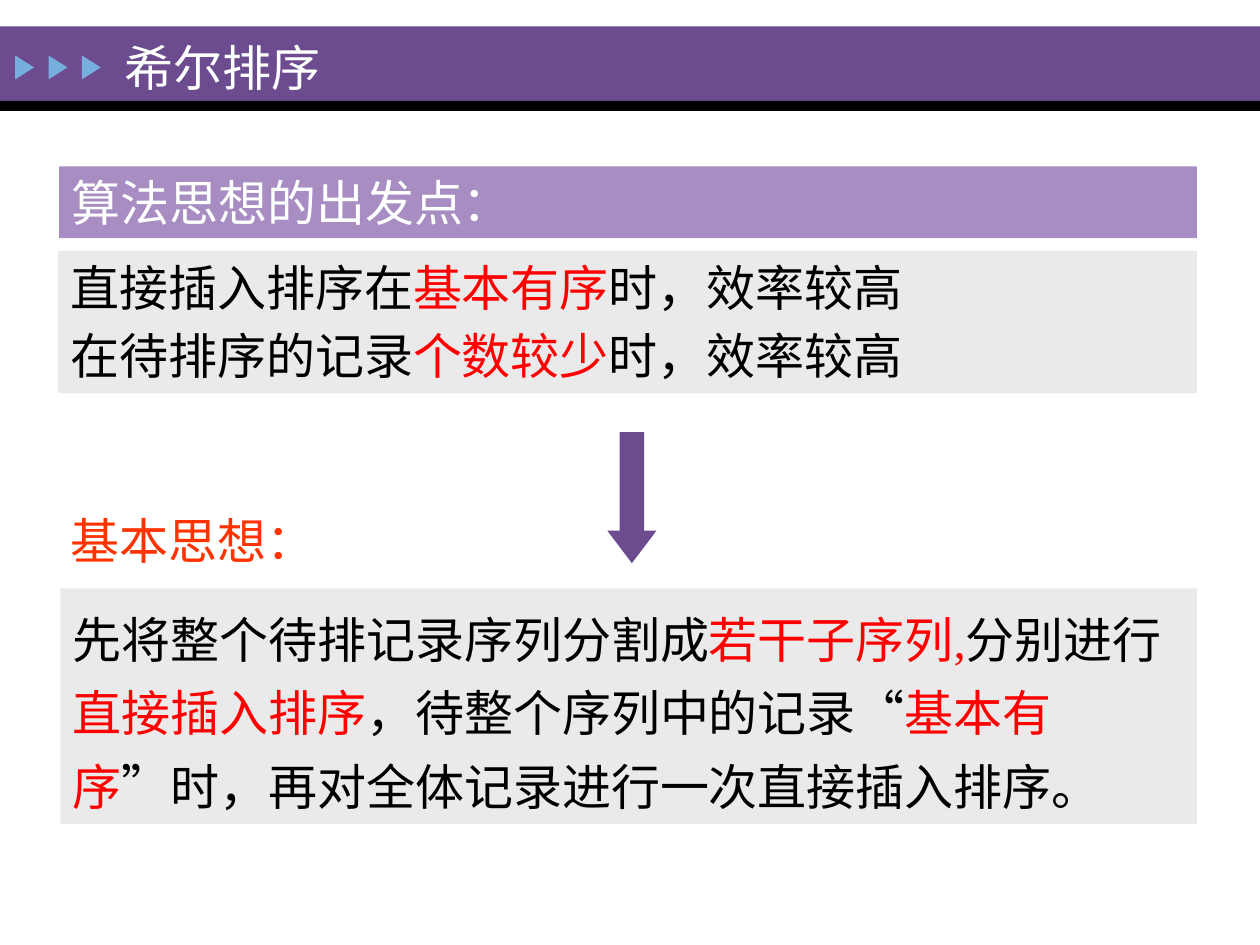
from dataclasses import dataclass

from pptx import Presentation
from pptx import util as u
from pptx.dml.color import RGBColor
from pptx.enum import shapes, text
from pptx.oxml import parse_xml
from pptx.oxml.ns import nsdecls
from pptx.shapes.autoshape import Shape
from pptx.slide import Slide

COLORS = {
    "paper": "FEFFFF",
    "purple": "6C4C8F",
    "lilac": "A78DC2",
    "black": "000000",
    "sky": "76AEDD",
    "gray": "EAEAEA",
    "red": "FF0000",
    "orange": "FF3300",
}
FONT = "Times New Roman"


@dataclass
class Area:
    left: float
    top: float
    width: float
    height: float

    def lengths(self) -> list[u.Length]:
        return [u.Inches(n) for n in (self.left, self.top, self.width, self.height)]


@dataclass
class Span:
    words: str
    color: str = "black"


def rgb(name: str) -> RGBColor:
    return RGBColor.from_string(COLORS[name])


def place(box: Shape, area: Area) -> None:
    box.left, box.top, box.width, box.height = area.lengths()


def paint(box: Shape, color: str) -> None:
    box.fill.solid()
    box.fill.fore_color.rgb = rgb(color)


def add_solid(page: Slide, kind: shapes.MSO_SHAPE, area: Area, color: str) -> Shape:
    box = page.shapes.add_shape(kind, *area.lengths())
    box.shadow.inherit = False
    box.line.fill.background()
    paint(box, color)
    return box


def write(box: Shape, lines: list[list[Span]], anchor=text.MSO_ANCHOR.TOP,
          wrap: bool = True, spacing: float = 1.0) -> None:
    frame = box.text_frame
    frame.word_wrap = wrap
    frame.auto_size = text.MSO_AUTO_SIZE.NONE
    frame.vertical_anchor = anchor
    for index, spans in enumerate(lines):
        para = frame.add_paragraph() if index else frame.paragraphs[0]
        para.alignment = text.PP_ALIGN.LEFT
        para.line_spacing = spacing
        para.space_before = u.Pt(5.6 if index else 0)
        if box.is_placeholder:
            properties = para._p.get_or_add_pPr()
            properties.set("marL", "0")
            properties.set("indent", "0")
            properties.append(parse_xml(f"<a:buNone {nsdecls('a')}/>"))
        para.font.name = FONT
        para.font.size = u.Pt(28)
        for span in spans:
            run = para.add_run()
            run.text = span.words
            run.font.color.rgb = rgb(span.color)


def add_header(page: Slide) -> None:
    add_solid(page, shapes.MSO_SHAPE.RECTANGLE, Area(0, 0.21, 10, 0.59), "purple")
    add_solid(page, shapes.MSO_SHAPE.RECTANGLE, Area(0, 0.8, 10, 0.08), "black")
    for index in range(3):
        area = Area(0.1 + 0.265 * index, 0.46, 0.19, 0.15)
        marker = add_solid(page, shapes.MSO_SHAPE.ISOSCELES_TRIANGLE, area, "sky")
        marker.rotation = 90
    title = page.shapes.title
    title.element.getparent().append(title.element)
    place(title, Area(0.89, 0.25, 3.38, 0.56))
    write(title, [[Span("希尔排序", "paper")]], text.MSO_ANCHOR.MIDDLE)


def add_starting_point(page: Slide) -> None:
    heading = add_solid(page, shapes.MSO_SHAPE.RECTANGLE,
                        Area(0.47, 1.32, 9.03, 0.57), "lilac")
    write(heading, [[Span("算法思想的出发点：", "paper")]])
    body = page.placeholders[1]
    place(body, Area(0.46, 1.99, 9.04, 1.13))
    paint(body, "gray")
    write(body, [
        [Span("直接插入排序在"), Span("基本有序", "red"), Span("时，效率较高")],
        [Span("在待排序的记录"), Span("个数较少", "red"), Span("时，效率较高")],
    ])


def add_basic_idea(page: Slide) -> None:
    label = page.shapes.add_textbox(*Area(0.46, 4, 2.62, 0.57).lengths())
    write(label, [[Span("基本思想：", "orange")]])
    idea = add_solid(page, shapes.MSO_SHAPE.RECTANGLE,
                     Area(0.48, 4.67, 9.02, 1.87), "gray")
    write(idea, [[
        Span("先将整个待排记录序列分割成"),
        Span("若干子序列,", "red"),
        Span("分别进行"),
        Span("直接插入排序", "red"),
        Span("，待整个序列中的记录“"),
        Span("基本有序", "red"),
        Span("”时，再对全体记录进行一次直接插入排序。"),
    ]], spacing=1.25)
    arrow = add_solid(page, shapes.MSO_SHAPE.DOWN_ARROW,
                      Area(4.82, 3.43, 0.39, 1.04), "purple")
    arrow.adjustments[0] = 0.5
    arrow.adjustments[1] = 0.66


def main() -> None:
    deck = Presentation()
    deck.slide_width, deck.slide_height = u.Inches(10), u.Inches(7.5)
    page = deck.slides.add_slide(deck.slide_layouts[1])
    page.background.fill.solid()
    page.background.fill.fore_color.rgb = rgb("paper")
    add_header(page)
    add_starting_point(page)
    add_basic_idea(page)
    deck.save("out.pptx")


if __name__ == "__main__":
    main()
